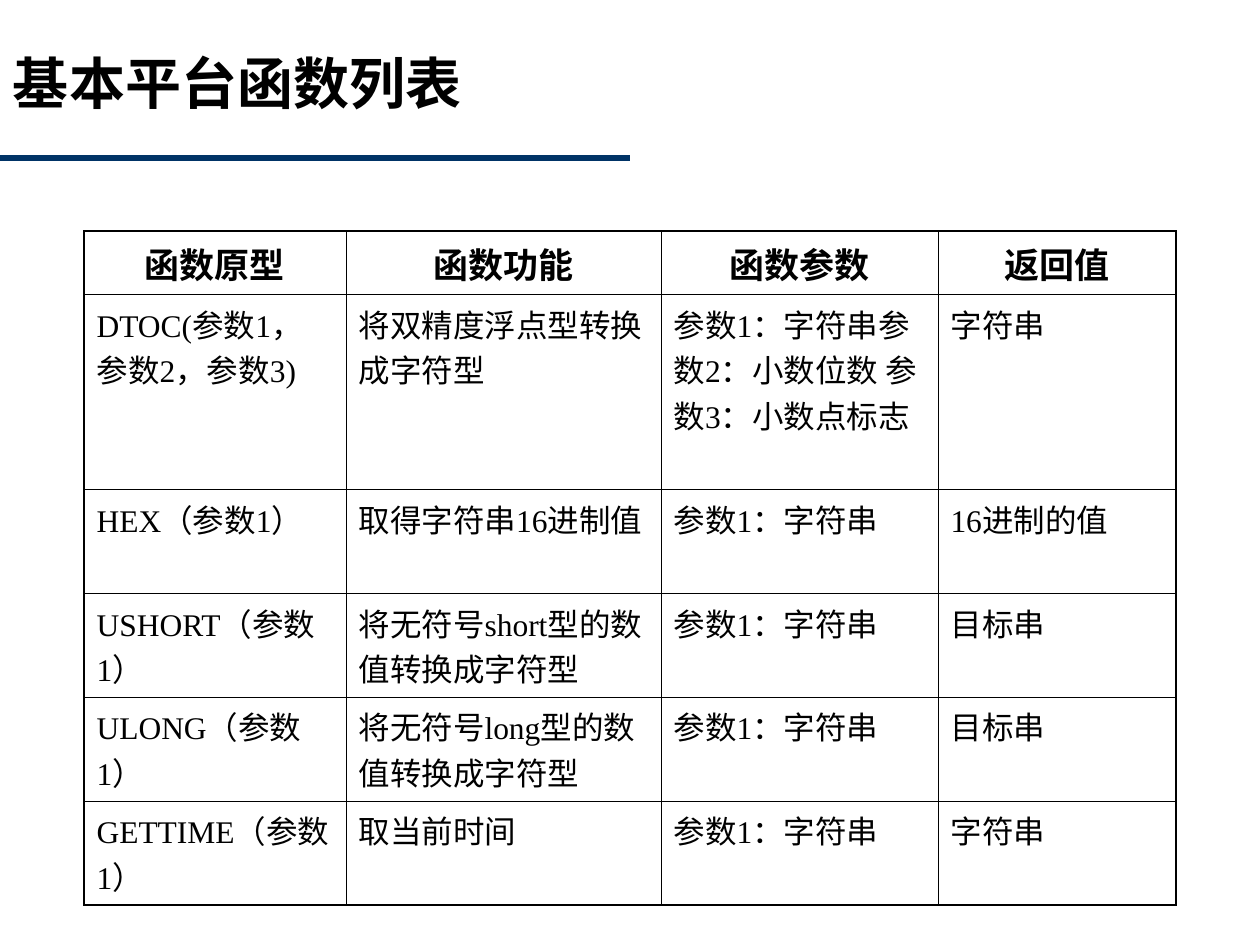
"""Build the slide that lists the basic platform functions."""
from dataclasses import dataclass

from lxml import etree
from pptx import Presentation
from pptx import util as u
from pptx.dml.color import RGBColor
from pptx.enum import shapes, text
from pptx.oxml.ns import qn

PX = 914400 / 126
BLACK, NAVY = "000000", "003366"
CJK, SERIF = "Noto Sans CJK SC", "Times New Roman"
THIN, THICK = 0.45, 1.08
COLUMNS = (262, 315, 277, 238)
HEIGHTS = (58, 164, 92, 92, 92, 92)


@dataclass(frozen=True)
class Function:
    """One row of the function table."""
    prototype: str
    purpose: str
    parameters: str
    result: str

    def values(self) -> tuple[str, ...]:
        """Return the cell texts from left to right."""
        return self.prototype, self.purpose, self.parameters, self.result


@dataclass(frozen=True)
class Style:
    """The look of one paragraph."""
    size: int
    bold: bool
    font: str
    align: text.PP_ALIGN


TITLE = Style(32, True, CJK, text.PP_ALIGN.LEFT)
HEADER = Style(20, True, SERIF, text.PP_ALIGN.CENTER)
BODY = Style(18, False, SERIF, text.PP_ALIGN.LEFT)

ROWS = (
    Function("函数原型", "函数功能", "函数参数", "返回值"),
    Function("DTOC(参数1，参数2，参数3)", "将双精度浮点型转换成字符型",
             "参数1：字符串参数2：小数位数 参数3：小数点标志", "字符串"),
    Function("HEX（参数1）", "取得字符串16进制值", "参数1：字符串", "16进制的值"),
    Function("USHORT（参数1）", "将无符号short型的数值转换成字符型", "参数1：字符串", "目标串"),
    Function("ULONG（参数1）", "将无符号long型的数值转换成字符型", "参数1：字符串", "目标串"),
    Function("GETTIME（参数1）", "取当前时间", "参数1：字符串", "字符串"),
)


def px(length: int) -> int:
    """Turn pixels into EMU."""
    return round(length * PX)


def colour(value: str) -> RGBColor:
    """Turn a hex string into a colour."""
    return RGBColor.from_string(value)


def write(frame, words: str, style: Style) -> None:
    """Write one styled paragraph into a text frame."""
    para = frame.paragraphs[0]
    para.alignment = style.align
    span = para.add_run()
    span.text = words
    formats = {"size": u.Pt(style.size), "bold": style.bold, "name": style.font}
    for name, value in formats.items():
        setattr(span.font, name, value)
    span.font.color.rgb = colour(BLACK)
    latin = span.font._element.find(qn("a:latin"))
    latin.addnext(latin.makeelement(qn("a:ea"), {"typeface": CJK}))


def add_borders(cell, widths: dict[str, float]) -> None:
    """Draw the four borders of a cell, given their widths in points."""
    properties = cell._tc.get_or_add_tcPr()
    for side, width in widths.items():
        line = etree.SubElement(properties, qn(f"a:ln{side}"), w=str(u.Pt(width)))
        fill = etree.SubElement(line, qn("a:solidFill"))
        etree.SubElement(fill, qn("a:srgbClr"), val=BLACK)


def add_title(page, words: str) -> None:
    """Place and format the title placeholder."""
    box = page.shapes.title
    places = {"left": -63, "top": 42, "width": 1018, "height": 158}
    for name, value in places.items():
        setattr(box, name, px(value))
    formats = {"margin_left": px(76), "word_wrap": True,
               "auto_size": text.MSO_AUTO_SIZE.NONE,
               "vertical_anchor": text.MSO_ANCHOR.TOP}
    for name, value in formats.items():
        setattr(box.text_frame, name, value)
    write(box.text_frame, words, TITLE)


def add_rule(page) -> None:
    """Draw the line under the title."""
    rule = page.shapes.add_connector(
        shapes.MSO_CONNECTOR.STRAIGHT, 0, px(158), px(630), px(158))
    rule.line.color.rgb = colour(NAVY)
    rule.line.width = u.Pt(3)
    etree.SubElement(rule._element.spPr, qn("a:effectLst"))


def add_functions(page, rows: tuple[Function, ...]) -> None:
    """Add the table with a thick outer frame and thin inner lines."""
    table = page.shapes.add_table(
        len(rows), len(COLUMNS), px(84), px(231),
        px(sum(COLUMNS)), px(sum(HEIGHTS))).table
    table.first_row = table.horz_banding = False
    for column, width in zip(table.columns, COLUMNS):
        column.width = px(width)
    for row, height in zip(table.rows, HEIGHTS):
        row.height = px(height)
    last_row, last_column = len(rows) - 1, len(COLUMNS) - 1
    for i, function in enumerate(rows):
        for j, words in enumerate(function.values()):
            cell = table.cell(i, j)
            outer = {"L": j == 0, "R": j == last_column,
                     "T": i == 0, "B": i == last_row}
            add_borders(cell, {side: THICK if edge else THIN
                               for side, edge in outer.items()})
            cell.fill.background()
            write(cell.text_frame, words, BODY if i else HEADER)


def main() -> None:
    """Build and save the deck."""
    deck = Presentation()
    deck.slide_width, deck.slide_height = px(1260), px(945)
    page = deck.slides.add_slide(deck.slide_layouts[5])
    add_rule(page)
    add_title(page, "基本平台函数列表")
    add_functions(page, ROWS)
    deck.save("out.pptx")


if __name__ == "__main__":
    main()
